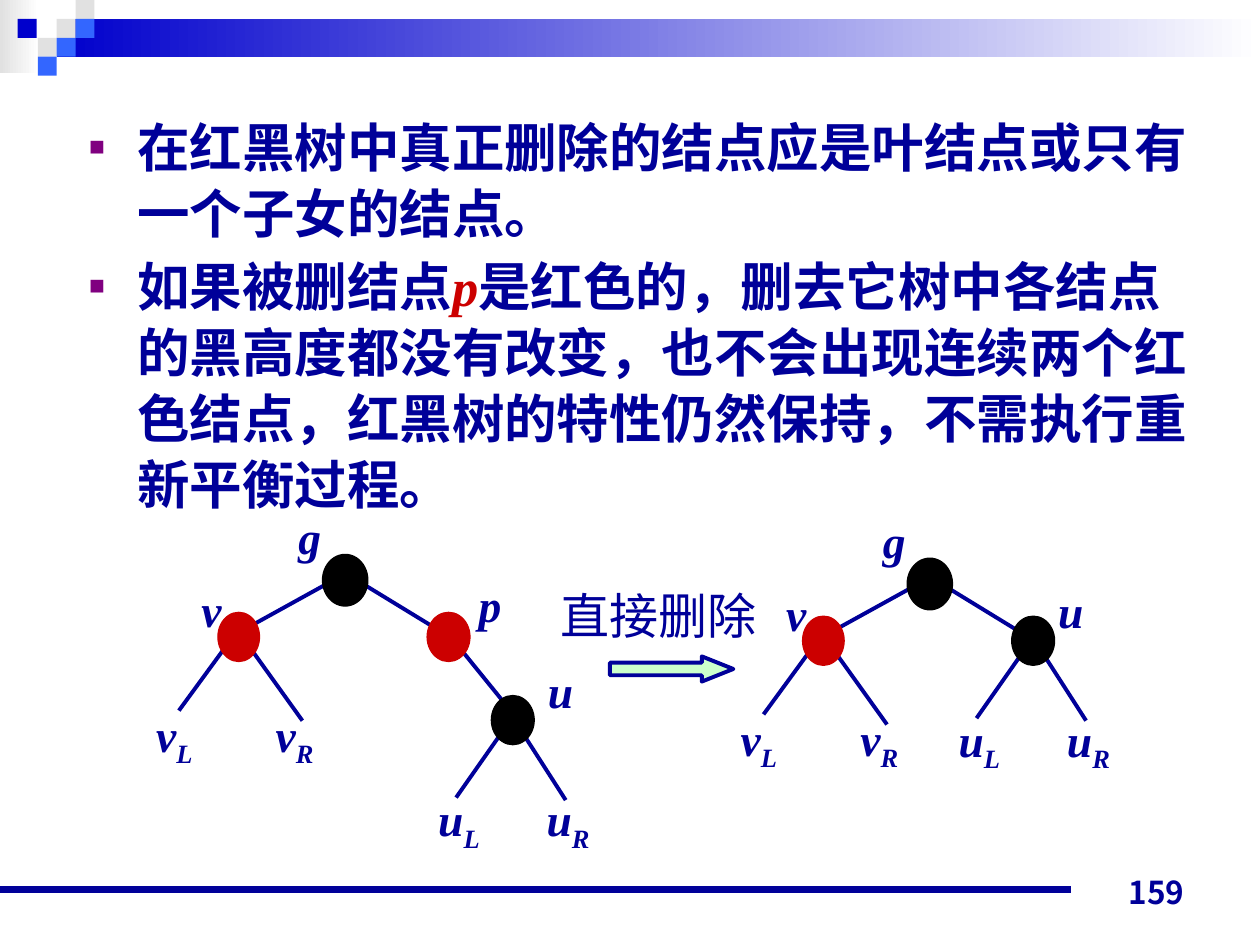
from lxml import etree
from pptx import Presentation
from pptx.dml.color import RGBColor
from pptx.enum import shapes, text
from pptx.oxml.ns import qn
from pptx.util import Emu, Pt

PX = 9144
NAVY, RED, BLACK = "000099", "CC0000", "000000"
GRAY, BLUE, DEEP, WHITE = "E1E1E1", "3366FF", "0000CC", "FFFFFF"
SERIF, CJK = "Times New Roman", "Noto Sans CJK SC"

BANDS = [((0, 0, 31, 58), GRAY), ((45, 15, 955, 30), DEEP)]
SQUARES = [(45, 15, GRAY), (60, 0, GRAY), (60, 15, BLUE), (30, 30, GRAY),
           (14, 15, DEEP), (45, 30, BLUE), (30, 45, BLUE)]

BODY = [
    [("在红黑树中真正删除的结点应是叶结点或只有一个子女的结点。", False)],
    [("如果被删结点", False), ("p", True),
     ("是红色的，删去它树中各结点的黑高度都没有改变，也不会出现连续两个红色结点，"
      "红黑树的特性仍然保持，不需执行重新平衡过程。", False)],
]

ROOT_PART = {
    "edges": [(289, 464, 343, 497), (262, 462, 195, 499),
              (197, 512, 240, 572), (180, 512, 142, 564)],
    "nodes": [(256, 440, 36, 41, BLACK), (173, 486, 33, 39, RED)],
    "labels": [(227, 399, "g", ""), (150, 457, "v", ""),
               (114, 556, "v", "L"), (209, 556, "v", "R")],
}
P_PART = {
    "edges": [(363, 512, 402, 560)],
    "nodes": [(339, 486, 34, 39, RED)],
    "labels": [(370, 453, "p", ""), (425, 521, "u", "")],
}
U_PART = {
    "edges": [(406, 568, 449, 635), (402, 576, 362, 633)],
    "nodes": [(390, 552, 34, 39, BLACK)],
    "labels": [(338, 623, "u", "L"), (424, 623, "u", "R")],
}
U_LABEL = {"edges": [], "nodes": [], "labels": [(830, 458, "u", "")]}
PARTS = [(ROOT_PART, 0, 0), (P_PART, 0, 0), (U_PART, 0, 0),
         (ROOT_PART, 464, 3), (U_PART, 413, -63), (U_LABEL, 0, 0)]

presentation = Presentation()
presentation.slide_width, presentation.slide_height = Emu(1000 * PX), Emu(750 * PX)
slide = presentation.slides.add_slide(presentation.slide_layouts[6])


def color(value):
    return RGBColor.from_string(value)


def emu(*lengths):
    return [Emu(length * PX) for length in lengths]


def add_shape(kind, box, fill, line=None, width=0.75):
    shape = slide.shapes.add_shape(kind, *emu(*box))
    shape.shadow.inherit = False
    shape.fill.solid()
    shape.fill.fore_color.rgb = color(fill)
    if line:
        shape.line.color.rgb = color(line)
        shape.line.width = Pt(width)
    else:
        shape.line.fill.background()
    return shape


def add_line(ends, width):
    line = slide.shapes.add_connector(shapes.MSO_CONNECTOR.STRAIGHT, *emu(*ends))
    line.line.color.rgb = color(NAVY)
    line.line.width = Pt(width)
    etree.SubElement(line._element.spPr, qn("a:effectLst"))


def add_frame(box, wrap=True):
    frame = slide.shapes.add_textbox(*emu(*box)).text_frame
    frame.word_wrap = wrap
    return frame


def add_run(paragraph, words, size, font, bold=True, italic=False, fill=NAVY):
    run = paragraph.add_run()
    run.text = words
    run.font.size, run.font.name = Pt(size), font
    run.font.bold, run.font.italic = bold, italic
    run.font.color.rgb = color(fill)
    etree.SubElement(run.font._element, qn("a:ea"), typeface=CJK)
    return run


def add_bullet(paragraph):
    properties = paragraph._p.get_or_add_pPr()
    properties.set("marL", str(38 * PX))
    properties.set("indent", str(-38 * PX))
    bullet_color = etree.SubElement(properties, qn("a:buClr"))
    etree.SubElement(bullet_color, qn("a:srgbClr"), val="800080")
    etree.SubElement(properties, qn("a:buSzPct"), val="50000")
    etree.SubElement(properties, qn("a:buFont"), typeface="Arial")
    etree.SubElement(properties, qn("a:buChar"), char="■")


def add_tree_part(part, dx, dy):
    for x1, y1, x2, y2 in part["edges"]:
        add_line((x1 + dx, y1 + dy, x2 + dx, y2 + dy), 2.25)
    for x, y, width, height, fill in part["nodes"]:
        add_shape(shapes.MSO_SHAPE.OVAL, (x + dx, y + dy, width, height), fill, fill)
    for x, y, name, subscript in part["labels"]:
        paragraph = add_frame((x + dx, y + dy, 80, 59)).paragraphs[0]
        add_run(paragraph, name, 26, SERIF, italic=True)
        if subscript:
            run = add_run(paragraph, subscript, 26, SERIF, italic=True)
            run.font._element.set("baseline", "-25000")


for box, start in BANDS:
    band = add_shape(shapes.MSO_SHAPE.RECTANGLE, box, start)
    band.fill.gradient()
    band.fill.gradient_angle = 0
    for stop, position, value in zip(band.fill.gradient_stops, (0, 1), (start, WHITE)):
        stop.position = position
        stop.color.rgb = color(value)
for x, y, fill in SQUARES:
    add_shape(shapes.MSO_SHAPE.RECTANGLE, (x, y, 15, 15), fill)

add_line((0, 706, 850, 706), 4.5)
number = add_frame((717, 678, 233, 50))
number.vertical_anchor = text.MSO_ANCHOR.BOTTOM
number.paragraphs[0].alignment = text.PP_ALIGN.RIGHT
add_run(number.paragraphs[0], "159", 18, "Noto Sans CJK JP")

body = add_frame((61, 84, 892, 342))
for index, runs in enumerate(BODY):
    paragraph = body.add_paragraph() if index else body.paragraphs[0]
    add_bullet(paragraph)
    paragraph.line_spacing = 1.05
    paragraph.space_before = Pt(3.7 if index else 0)
    for words, is_node in runs:
        add_run(paragraph, words, 30, SERIF, italic=is_node, fill=RED if is_node else NAVY)

for part, dx, dy in PARTS:
    add_tree_part(part, dx, dy)

arrow = add_shape(shapes.MSO_SHAPE.RIGHT_ARROW, (484, 521, 98, 20), "CCFFCC", NAVY, 2.25)
arrow.adjustments[0], arrow.adjustments[1] = 0.5, 1.25
caption = add_frame((435, 460, 175, 57), wrap=False)
caption.paragraphs[0].alignment = text.PP_ALIGN.CENTER
add_run(caption.paragraphs[0], "直接删除", 28, "Arial", bold=False)

presentation.save("out.pptx")
